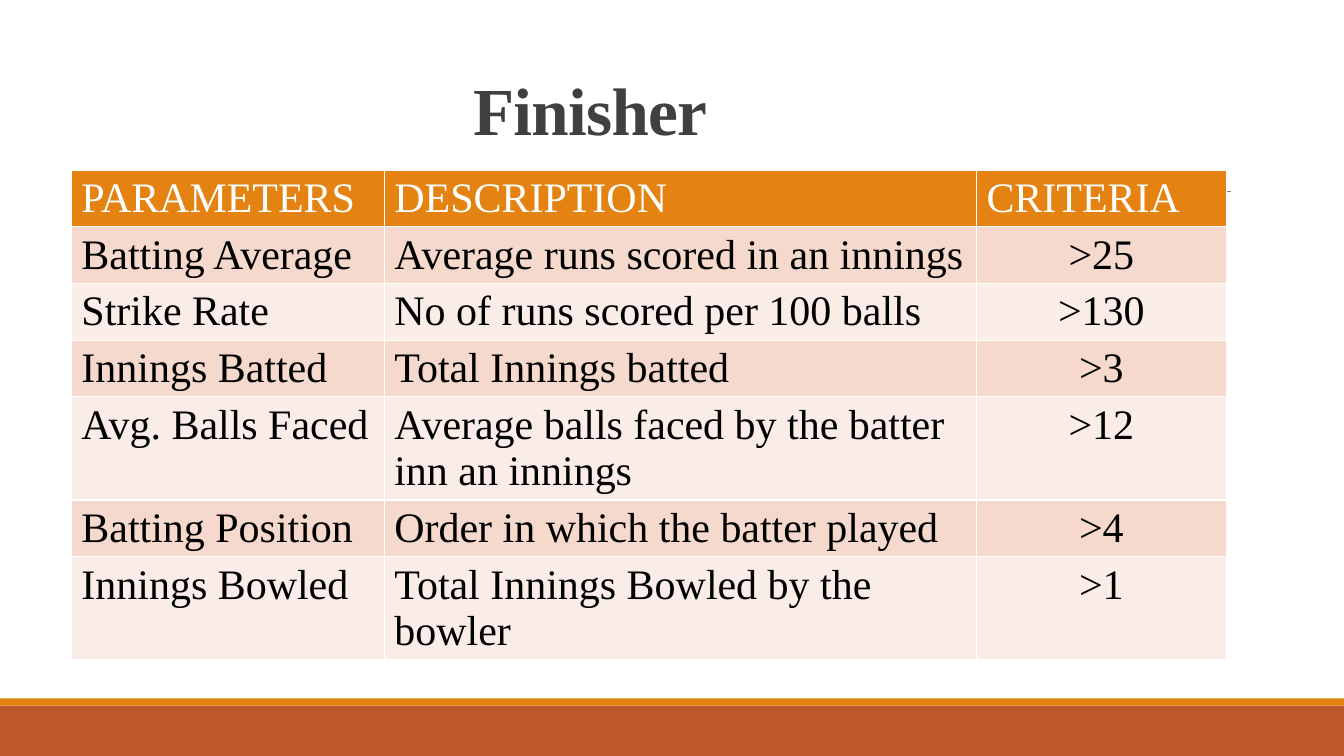
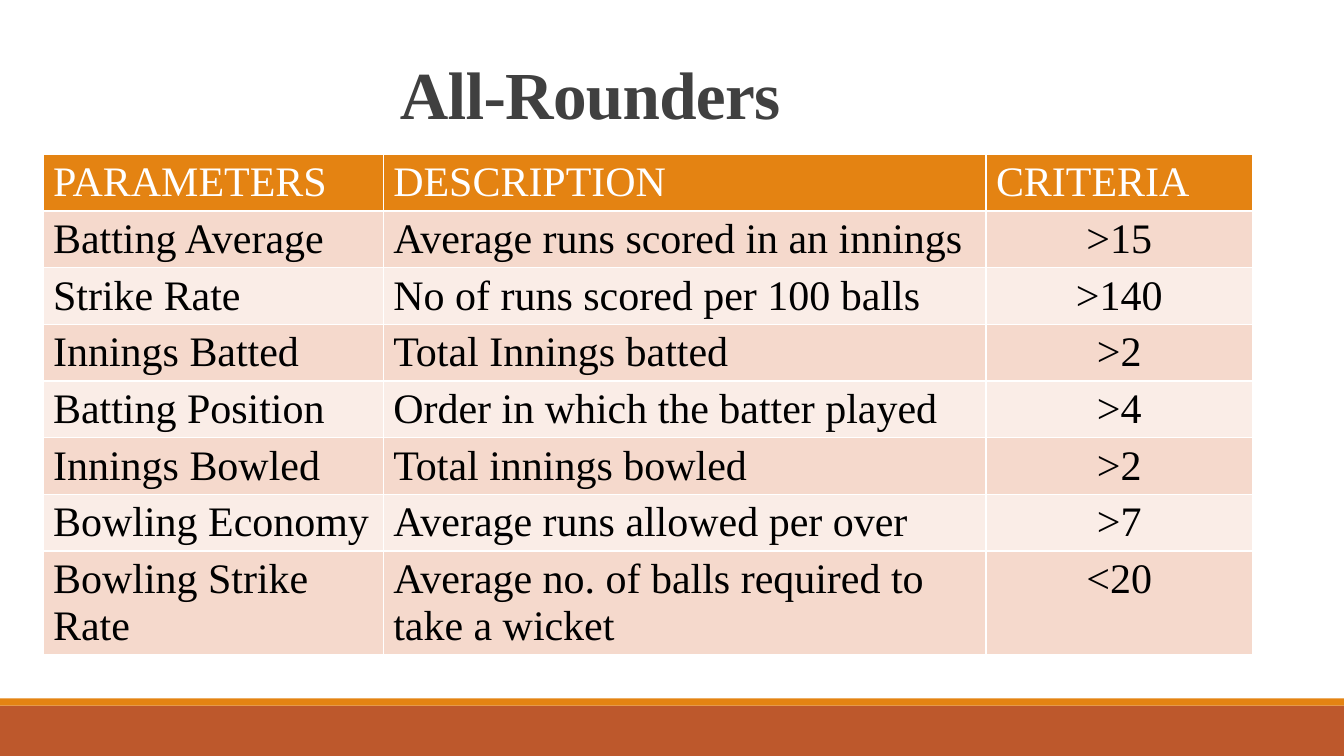
from dataclasses import dataclass

from lxml import etree
from pptx import Presentation
from pptx.dml.color import RGBColor
from pptx.enum.shapes import MSO_CONNECTOR, MSO_SHAPE
from pptx.enum.text import MSO_ANCHOR, MSO_AUTO_SIZE, PP_ALIGN
from pptx.oxml.ns import qn
from pptx.util import Pt

PX = 9525  # EMU per px, 96 px to the inch
SLIDE_W, SLIDE_H = 1280, 720
RECTANGLE, STRAIGHT = MSO_SHAPE.RECTANGLE, MSO_CONNECTOR.STRAIGHT
BOTTOM, CENTER, LEFT = MSO_ANCHOR.BOTTOM, PP_ALIGN.CENTER, PP_ALIGN.LEFT
NO_AUTOFIT = MSO_AUTO_SIZE.NONE


@dataclass(frozen=True)
class Theme:
    font: str = "Times New Roman"
    title_size: int = 48
    table_size: int = 30
    title: str = "404040"
    text: str = "000000"
    white: str = "FFFFFF"
    rule: str = "808080"
    orange: str = "E48312"
    rust: str = "BD582C"
    row_fills: tuple = ("F5D9CC", "FAEDE7")


THEME = Theme()
HEADER = ("PARAMETERS", "DESCRIPTION", "CRITERIA")
TITLE_LEFT, TITLE_TOP, TITLE_W = 68, 48, 988
TITLE_GAP = 15  # between title and table
ONE_LINE, TWO_LINES = 54, 98  # row heights

# Per slide: title, table left and top, column widths, rows, rows of two lines
SLIDES = [
    ("Finisher", 68, 162, (298, 564, 238), [
        ("Batting Average", "Average runs scored in an innings", ">25"),
        ("Strike Rate", "No of runs scored per 100 balls", ">130"),
        ("Innings Batted", "Total Innings batted", ">3"),
        ("Avg. Balls Faced", "Average balls faced by the batter inn an innings", ">12"),
        ("Batting Position", "Order in which the batter played", ">4"),
        ("Innings Bowled", "Total Innings Bowled by the bowler", ">1"),
    ], (4, 6)),
    ("All-Rounders", 41, 147, (324, 574, 254), [
        ("Batting Average", "Average runs scored in an innings", ">15"),
        ("Strike Rate", "No of runs scored per 100 balls", ">140"),
        ("Innings Batted", "Total Innings batted", ">2"),
        ("Batting Position", "Order in which the batter played", ">4"),
        ("Innings Bowled", "Total innings bowled", ">2"),
        ("Bowling Economy", "Average runs allowed per over", ">7"),
        ("Bowling Strike Rate", "Average no. of balls required to take a wicket", "<20"),
    ], (7,)),
]


def style_text(paragraph, size, color, align):
    paragraph.alignment = align
    for run in paragraph.runs:
        run.font.name = THEME.font
        run.font.size = Pt(size)
        run.font.color.rgb = RGBColor.from_string(color)


def add_borders(cell):
    properties = cell._tc.get_or_add_tcPr()
    for position, side in enumerate(("lnL", "lnR", "lnT", "lnB")):
        border = etree.Element(qn(f"a:{side}"), w=str(Pt(1)))
        fill = etree.SubElement(border, qn("a:solidFill"))
        etree.SubElement(fill, qn("a:srgbClr"), val=THEME.white)
        properties.insert(position, border)


prs = Presentation()
prs.slide_width, prs.slide_height = SLIDE_W * PX, SLIDE_H * PX
layout = prs.slide_layouts[5]
slides = [prs.slides.add_slide(layout) for _ in SLIDES]

# Shared bands and rule: drawn once, then moved to the layout
drawing = slides[0].shapes
for top, height, color in ((672, 48, THEME.rust), (665, 7, THEME.orange)):
    band = drawing.add_shape(RECTANGLE, 0, top * PX, SLIDE_W * PX, height * PX)
    band.shadow.inherit = False
    band.fill.solid()
    band.fill.fore_color.rgb = RGBColor.from_string(color)
    band.line.fill.background()
    layout.shapes.element.append(band.element)

rule = drawing.add_connector(STRAIGHT, 126 * PX, 182 * PX, 1172 * PX, 182 * PX)
rule.line.color.rgb = RGBColor.from_string(THEME.rule)
rule.line.width = Pt(0.5)
etree.SubElement(rule.element.spPr, qn("a:effectLst"))
layout.shapes.element.append(rule.element)

for slide, (heading, left, top, widths, rows, tall_rows) in zip(slides, SLIDES):
    # Title
    title = slide.shapes.title
    title.left, title.top, title.width = TITLE_LEFT * PX, TITLE_TOP * PX, TITLE_W * PX
    title.height = (top - TITLE_GAP - TITLE_TOP) * PX
    frame = title.text_frame
    frame.text = heading
    frame.auto_size = NO_AUTOFIT
    frame.vertical_anchor = BOTTOM
    heading_line = frame.paragraphs[0]
    heading_line.line_spacing = 0.85
    style_text(heading_line, THEME.title_size, THEME.title, CENTER)
    heading_font = heading_line.runs[0].font
    heading_font.bold = True
    heading_font._element.set("spc", "-50")

    # Criteria table
    lines = [HEADER, *rows]
    heights = [TWO_LINES if i in tall_rows else ONE_LINE for i in range(len(lines))]
    criteria = slide.shapes.add_table(
        len(lines), len(HEADER), left * PX, top * PX,
        sum(widths) * PX, sum(heights) * PX).table
    for column, width in zip(criteria.columns, widths):
        column.width = width * PX
    for r, (line, height) in enumerate(zip(lines, heights)):
        criteria.rows[r].height = height * PX
        is_header = r == 0
        row_fill = THEME.orange if is_header else THEME.row_fills[(r - 1) % 2]
        color = THEME.white if is_header else THEME.text
        for c, words in enumerate(line):
            cell = criteria.cell(r, c)
            cell.text_frame.text = words
            cell.fill.solid()
            cell.fill.fore_color.rgb = RGBColor.from_string(row_fill)
            align = CENTER if c == 2 and not is_header else LEFT
            paragraph = cell.text_frame.paragraphs[0]
            style_text(paragraph, THEME.table_size, color, align)
            paragraph.runs[0].font.bold = False
            add_borders(cell)

prs.save("out.pptx")
